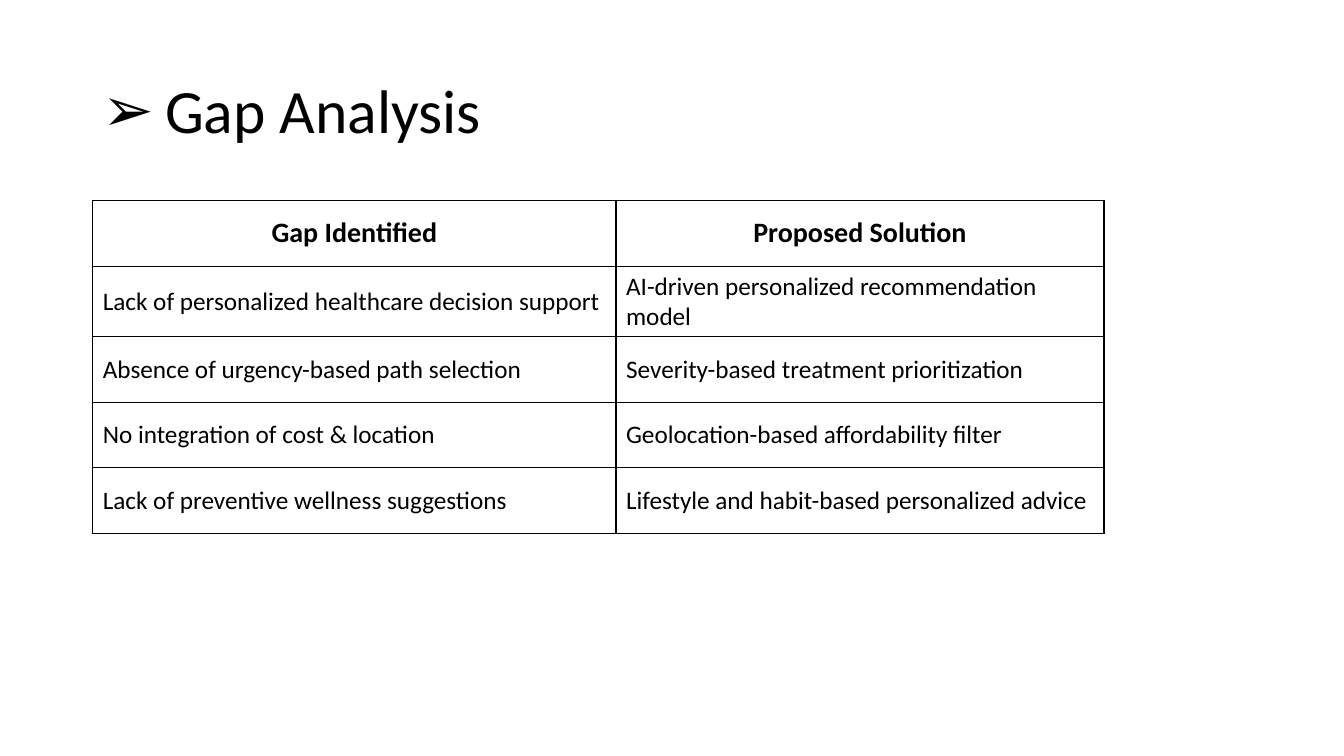
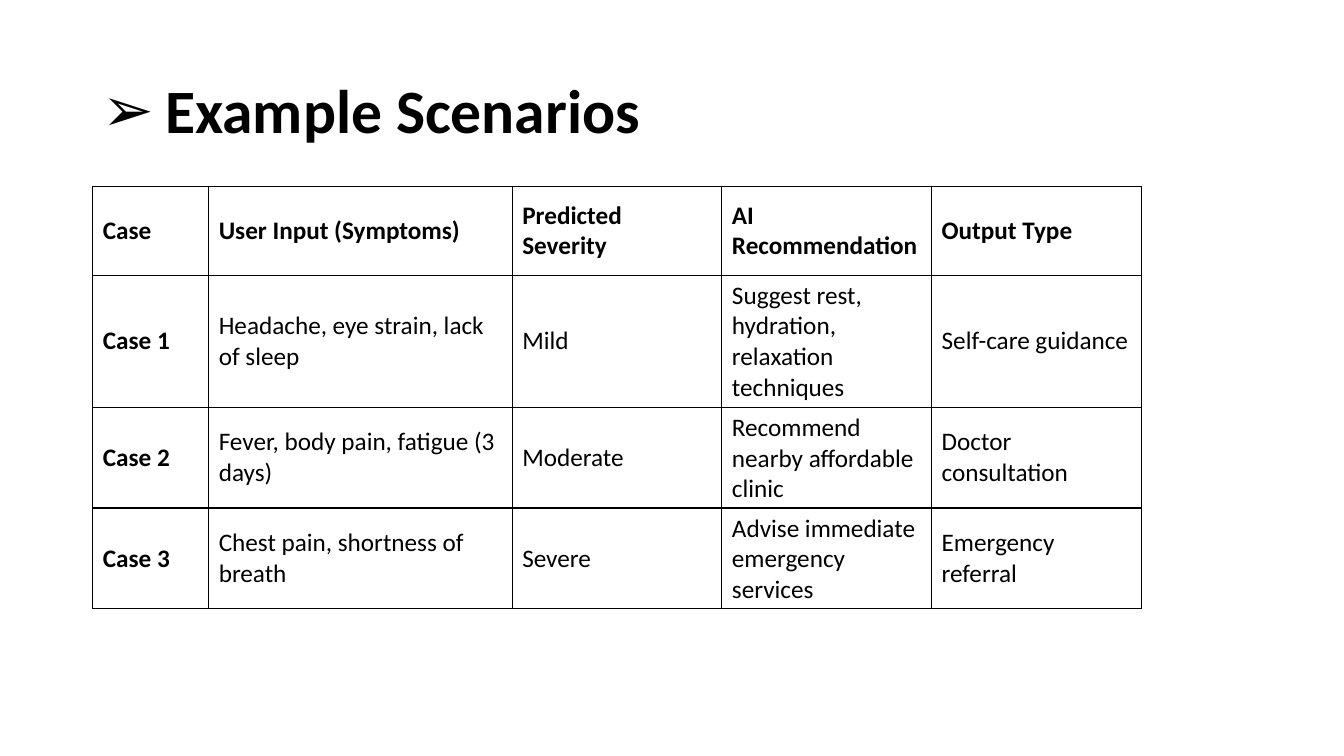
from lxml import etree
from pptx import Presentation
from pptx import util as u
from pptx.dml.color import RGBColor
from pptx.enum import text
from pptx.oxml import ns

BLACK = RGBColor(0, 0, 0)
FONT = "Calibri"
LEFT = 0.92


class Deck:
    """Holds the shared style and the current slide."""

    def __init__(self):
        self.presentation = Presentation()
        self.presentation.slide_width = u.Inches(13.33)
        self.presentation.slide_height = u.Inches(7.5)
        self.slide = None

    def add_slide(self):
        blank = self.presentation.slide_layouts[6]
        self.slide = self.presentation.slides.add_slide(blank)

    def style(self, paragraph, size, bold):
        for run in paragraph.runs:
            run.font.name = FONT
            run.font.size = u.Pt(size)
            run.font.bold = bold
            run.font.color.rgb = BLACK

    def title(self, wording, bold=False):
        box = self.slide.shapes.add_textbox(
            u.Inches(LEFT), u.Inches(0.4), u.Inches(11.5), u.Inches(1.45))
        frame = box.text_frame
        frame.word_wrap = True
        frame.vertical_anchor = text.MSO_ANCHOR.MIDDLE
        frame.text = wording
        paragraph = frame.paragraphs[0]
        paragraph.line_spacing = 0.9
        self.style(paragraph, 44, bold)
        # Arrow bullet with a hanging indent
        properties = paragraph._p.get_or_add_pPr()
        indent = u.Inches(0.62)
        properties.set("marL", str(indent))
        properties.set("indent", str(-indent))
        etree.SubElement(properties, ns.qn("a:buFont"), typeface="Arial")
        etree.SubElement(properties, ns.qn("a:buChar"), char="➢")

    def border(self, cell):
        properties = cell._tc.get_or_add_tcPr()
        for side in ("lnL", "lnR", "lnT", "lnB"):
            line = etree.SubElement(
                properties, ns.qn(f"a:{side}"), w=str(u.Pt(1)))
            fill = etree.SubElement(line, ns.qn("a:solidFill"))
            etree.SubElement(fill, ns.qn("a:srgbClr"), val=str(BLACK))

    def table(self, top, widths, heights, rows, header_size=18,
              header_align=text.PP_ALIGN.LEFT, bold_first_column=False):
        table = self.slide.shapes.add_table(
            len(rows), len(widths), u.Inches(LEFT), u.Inches(top),
            u.Inches(sum(widths)), u.Inches(sum(heights))).table
        table.first_row = table.horz_banding = False
        for column, width in zip(table.columns, widths):
            column.width = u.Inches(width)
        for row, height in zip(table.rows, heights):
            row.height = u.Inches(height)
        for i, wordings in enumerate(rows):
            for j, wording in enumerate(wordings):
                cell = table.cell(i, j)
                cell.text_frame.text = wording
                cell.vertical_anchor = text.MSO_ANCHOR.MIDDLE
                self.border(cell)
                cell.fill.background()
                paragraph = cell.text_frame.paragraphs[0]
                header = i == 0
                if header:
                    paragraph.alignment = header_align
                self.style(paragraph, header_size if header else 18,
                           header or (bold_first_column and j == 0))


def main():
    deck = Deck()

    # Gap analysis
    deck.add_slide()
    deck.title("Gap Analysis")
    deck.table(1.99, [5.19, 4.84], [0.65] * 5, [
        ["Gap Identified", "Proposed Solution"],
        ["Lack of personalized healthcare decision support",
         "AI-driven personalized recommendation model"],
        ["Absence of urgency-based path selection",
         "Severity-based treatment prioritization"],
        ["No integration of cost & location",
         "Geolocation-based affordability filter"],
        ["Lack of preventive wellness suggestions",
         "Lifestyle and habit-based personalized advice"],
    ], header_size=20, header_align=text.PP_ALIGN.CENTER)

    # Example scenarios
    deck.add_slide()
    deck.title("Example Scenarios", bold=True)
    deck.table(1.85, [1.15, 3.01] + [2.08] * 3, [0.88, 1.31, 0.88, 0.88], [
        ["Case", "User Input (Symptoms)", "Predicted Severity",
         "AI Recommendation", "Output Type"],
        ["Case 1", "Headache, eye strain, lack of sleep", "Mild",
         "Suggest rest, hydration, relaxation techniques",
         "Self-care guidance"],
        ["Case 2", "Fever, body pain, fatigue (3 days)", "Moderate",
         "Recommend nearby affordable clinic", "Doctor consultation"],
        ["Case 3", "Chest pain, shortness of breath", "Severe",
         "Advise immediate emergency services", "Emergency referral"],
    ], bold_first_column=True)

    deck.presentation.save("out.pptx")


if __name__ == "__main__":
    main()
